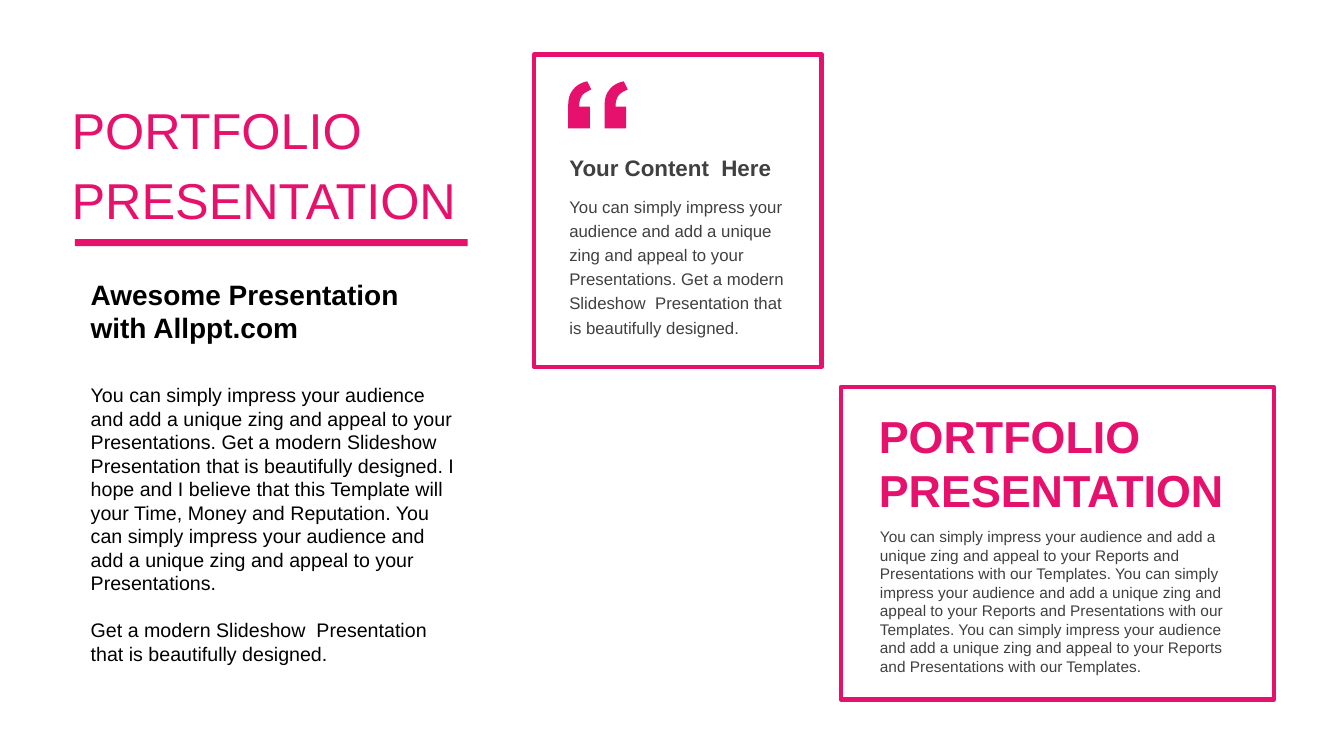
from pptx import Presentation
from pptx.dml.color import RGBColor
from pptx.enum.shapes import MSO_SHAPE as SHAPE
from pptx.enum.text import MSO_ANCHOR as ANCHOR, MSO_AUTO_SIZE as AUTO, PP_ALIGN as ALIGN
from pptx.oxml.ns import qn
from pptx.util import Pt

# Content
PINK, GREY, BLACK = "E6106D", "404040", "000000"
HEADLINE = ["PORTFOLIO", "PRESENTATION"]
SUBTITLE = ["Awesome Presentation", "with Allppt.com"]
IMPRESS = "You can simply impress your audience and add a unique zing and appeal to your "
MODERN = "Get a modern Slideshow  Presentation that is beautifully designed."
BODY = [
    IMPRESS + "Presentations. " + MODERN
    + " I hope and I believe that this Template will your Time, Money and Reputation. "
    + IMPRESS + "Presentations.",
    MODERN,
]
QUOTE_TITLE = "Your Content  Here"
QUOTE_TEXT = IMPRESS + "Presentations. " + MODERN
REPORT_TEXT = " ".join([IMPRESS + "Reports and Presentations with our Templates."] * 3)

# Boxes: left, top, width, height
TITLE_BOX = (44, 67, 294.5, 100)
RULE_BOX = (53.5, 170.8, 280.5, 5)
SUBTITLE_BOX = (57.6, 194.4, 294.5, 55.4)
BODY_BOX = (57.6, 270, 275, 211)
QUOTE_FRAME = (381.6, 38.9, 205.2, 223.2)
REPORT_FRAME = (600.5, 276.5, 309.6, 223.2)

# One quotation mark: a point is a straight side, three points are a curve
MARK_START = (13.7, 0)
MARK = [
    [(16.6, 5.8)],
    [(13.7, 7.2), (10.9, 8.6), (10, 10.1)],
    [(8.6, 12.2), (7.9, 14.4), (7.9, 18)],
    [(15.5, 18)], [(15.5, 33.6)], [(0, 33.6)], [(0, 22.3)],
    [(0, 17.3), (0, 14.4), (0.7, 11.5)],
    [(1.4, 8.6), (2.9, 6.5), (5, 4.3)],
    [(7.2, 2.2), (10.1, 0.7), (13.7, 0)],
]
MARK_PITCH = 26
CURVE_STEPS = 8


def color(hex_text):
    return RGBColor.from_string(hex_text)


def inside(frame, dx, dy, width, height):
    return frame[0] + dx, frame[1] + dy, width, height


def place(sp, box):
    sp.left, sp.top, sp.width, sp.height = [Pt(v) for v in box]


def write(sp, lines, size, hex_text, bold=False, anchor=ANCHOR.TOP,
          align=ALIGN.LEFT, spacing=1.0, gap=0, inset=7.2):
    tf = sp.text_frame
    tf.word_wrap, tf.auto_size, tf.vertical_anchor = True, AUTO.NONE, anchor
    tf.margin_left = Pt(inset)
    for i, line in enumerate(lines):
        p = tf.paragraphs[0] if i == 0 else tf.add_paragraph()
        pPr = p._p.get_or_add_pPr()
        pPr.set("marL", "0")
        pPr.set("indent", "0")
        pPr.append(pPr.makeelement(qn("a:buNone"), {}))
        p.alignment, p.line_spacing = align, spacing
        p.space_before = Pt(gap if i else 0)
        p.space_after = Pt(0)
        r = p.add_run()
        r.text = line
        r.font.name, r.font.size, r.font.bold = "Arial", Pt(size), bold
        r.font.color.rgb = color(hex_text)


def add_text(box, lines, size, hex_text, **style):
    write(s.shapes.add_textbox(*[Pt(v) for v in box]), lines, size, hex_text, **style)


def add_rect(box, fill=None, line=None):
    sp = s.shapes.add_shape(SHAPE.RECTANGLE, *[Pt(v) for v in box])
    paint(sp, fill, line)


def paint(sp, fill=None, line=None):
    sp.shadow.inherit = False
    if fill:
        sp.fill.solid()
        sp.fill.fore_color.rgb = color(fill)
    else:
        sp.fill.background()
    if line:
        sp.line.color.rgb = color(line)
        sp.line.width = Pt(3)
    else:
        sp.line.fill.background()


def mark_points():
    points, last = [], MARK_START
    for side in MARK:
        if len(side) == 3:
            for t in [n / CURVE_STEPS for n in range(1, CURVE_STEPS)]:
                u = 1 - t
                weights = (u ** 3, 3 * u * u * t, 3 * u * t * t, t ** 3)
                curve = list(zip(weights, [last] + side))
                points.append(tuple(sum(w * pt[k] for w, pt in curve) for k in (0, 1)))
        last = side[-1]
        points.append(last)
    return points


def add_quote_marks(left, top):
    def at(point, shift):
        return Pt(left + shift + point[0]), Pt(top + point[1])

    builder = s.shapes.build_freeform(*at(MARK_START, 0))
    for shift in (0, MARK_PITCH):
        if shift:
            builder.move_to(*at(MARK_START, shift))
        builder.add_line_segments([at(pt, shift) for pt in mark_points()], close=True)
    paint(builder.convert_to_shape(), fill=PINK)


prs = Presentation()
prs.slide_width, prs.slide_height = Pt(960), Pt(540)
s = prs.slides.add_slide(prs.slide_layouts[1])

# Left column: title, rule, subtitle and body
title, body = s.shapes.title, s.placeholders[1]
place(title, TITLE_BOX)
write(title, HEADLINE, 36, PINK, gap=7)
add_rect(RULE_BOX, fill=PINK)
add_text(SUBTITLE_BOX, SUBTITLE, 20, BLACK, bold=True, anchor=ANCHOR.MIDDLE)
place(body, BODY_BOX)
write(body, BODY, 14, BLACK, gap=16.5)

# Quote card
add_rect(QUOTE_FRAME, line=PINK)
add_quote_marks(QUOTE_FRAME[0] + 24.2, QUOTE_FRAME[1] + 19.2)
add_text(inside(QUOTE_FRAME, 18, 67.6, 168.5, 26.6), [QUOTE_TITLE], 16, GREY, bold=True)
add_text(inside(QUOTE_FRAME, 18, 95, 168.5, 110), [QUOTE_TEXT], 12, GREY, spacing=1.2)

# Report card
add_rect(REPORT_FRAME, line=PINK)
add_text(inside(REPORT_FRAME, 27.3, 17.3, 255.6, 73.4), HEADLINE, 32, PINK,
         bold=True, anchor=ANCHOR.MIDDLE, inset=0)
add_text(inside(REPORT_FRAME, 20.9, 96.5, 262, 113.8), [REPORT_TEXT], 11, GREY)

prs.save("out.pptx")
